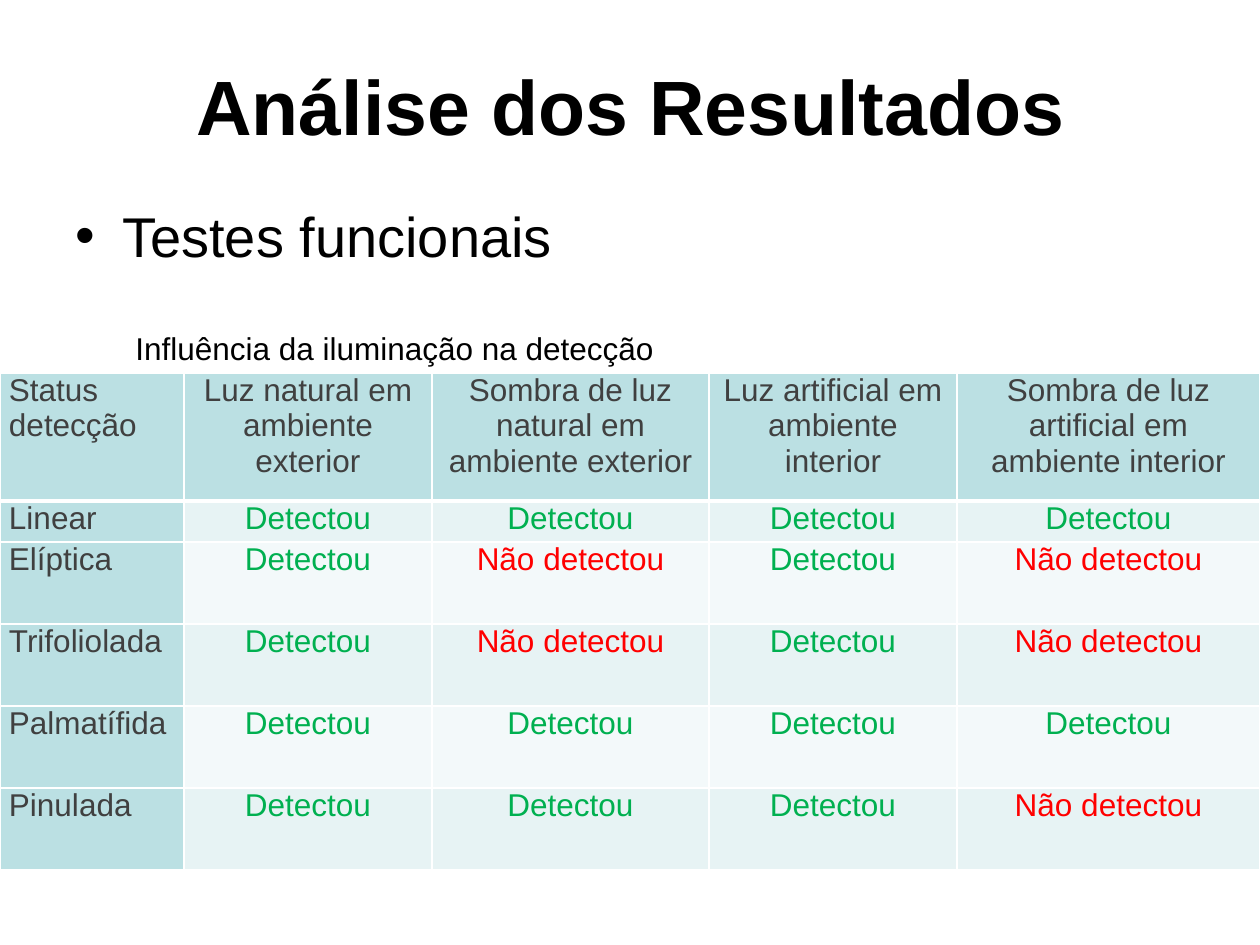
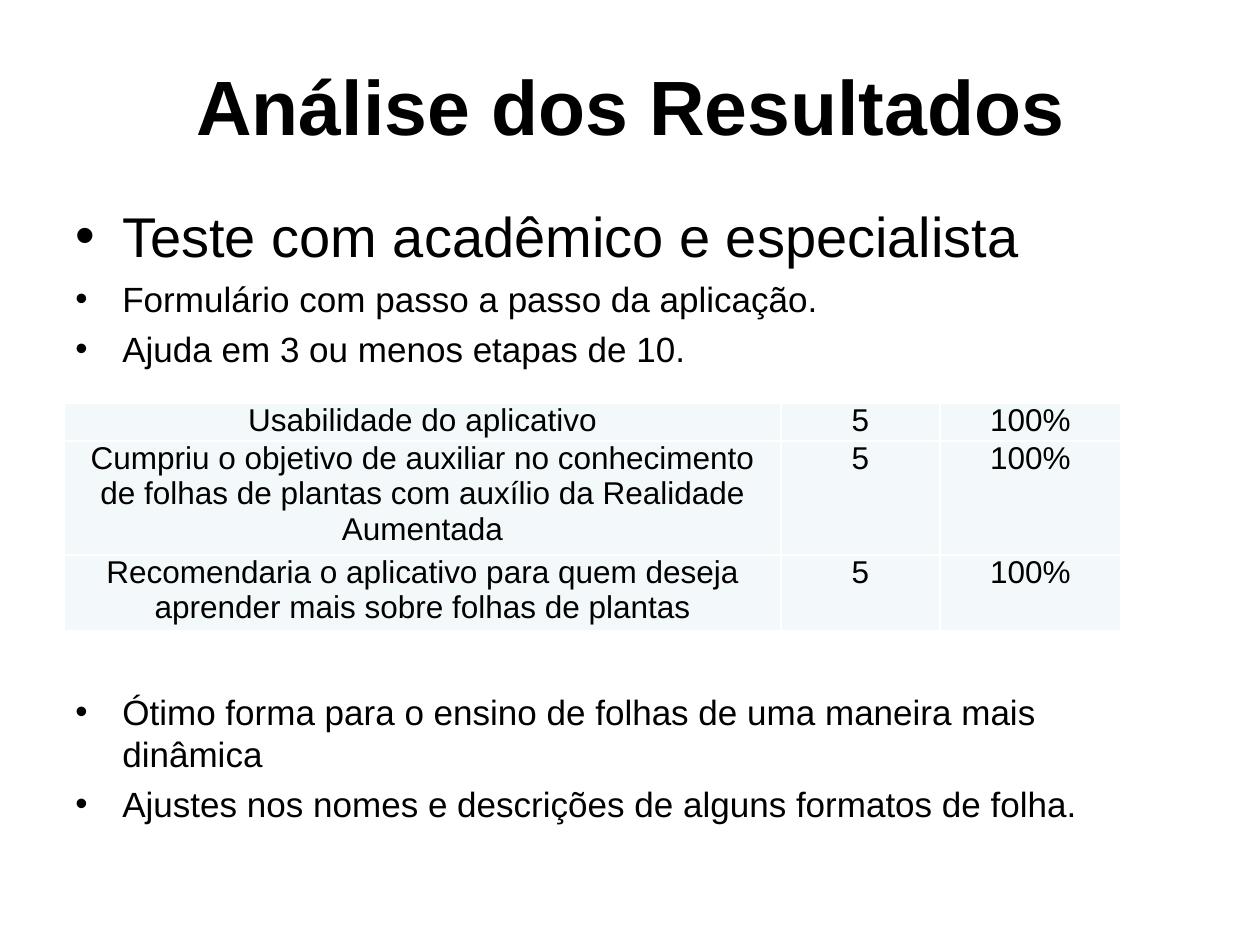
"""Build two slides of test results, each with a title, bullets and a table."""
from lxml.etree import SubElement
from pptx import Presentation
from pptx.dml.color import RGBColor
from pptx.enum.text import MSO_ANCHOR, PP_ALIGN
from pptx.oxml.ns import qn
from pptx.util import Emu, Pt

TITLE = "Análise dos Resultados"
YES, NO = "Detectou", "Não detectou"
CAPTION = "Influência da iluminação na detecção"
LIGHT = [
    ("Status detecção", "Luz natural em ambiente exterior",
     "Sombra de luz natural em ambiente exterior",
     "Luz artificial em ambiente interior",
     "Sombra de luz artificial em ambiente interior"),
    ("Linear", YES, YES, YES, YES),
    ("Elíptica", YES, NO, YES, NO),
    ("Trifoliolada", YES, NO, YES, NO),
    ("Palmatífida", YES, YES, YES, YES),
    ("Pinulada", YES, YES, YES, NO),
]
SURVEY = [
    ("Usabilidade do aplicativo", "5", "100%"),
    ("Cumpriu o objetivo de auxiliar no conhecimento de folhas de plantas "
     "com auxílio da Realidade Aumentada", "5", "100%"),
    ("Recomendaria o aplicativo para quem deseja aprender mais sobre folhas "
     "de plantas", "5", "100%"),
]
GAP = 183
TESTS = [("Testes funcionais", 32, 7)]
USERS = [
    ("Teste com acadêmico e especialista", 32, 7),
    ("Formulário com passo a passo da aplicação.", 20, 5),
    ("Ajuda em 3 ou menos etapas de 10.", 20, 5),
    ("Ótimo forma para o ensino de folhas de uma maneira mais dinâmica", 20, GAP),
    ("Ajustes nos nomes e descrições de alguns formatos de folha.", 20, 5),
]

FONT = "Arial"
BLACK = RGBColor(0x00, 0x00, 0x00)
WHITE = RGBColor(0xFF, 0xFF, 0xFF)
GREY = RGBColor(0x40, 0x40, 0x40)
GREEN = RGBColor(0x00, 0xB0, 0x50)
RED = RGBColor(0xFF, 0x00, 0x00)
TEAL = RGBColor(0xBB, 0xE0, 0xE3)
MIST = RGBColor(0xE7, 0xF3, 0xF4)
PALE = RGBColor(0xF3, 0xF9, 0xFA)
INKS = {YES: GREEN, NO: RED}


def px(num):
    return Emu(round(num * 914400 / 126))


def style(para, size, ink=BLACK, bold=False, align=PP_ALIGN.LEFT):
    para.alignment = align
    for run in para.runs:
        font = run.font
        font.name, font.size, font.bold = FONT, Pt(size), bold
        font.color.rgb = ink


def add_box(slide, *area):
    frame = slide.shapes.add_textbox(*map(px, area)).text_frame
    frame.word_wrap = True
    return frame


def add_title(slide):
    frame = add_box(slide, 64, 26, 1134, 158)
    frame.vertical_anchor = MSO_ANCHOR.MIDDLE
    frame.text = TITLE
    style(frame.paragraphs[0], 44, bold=True, align=PP_ALIGN.CENTER)


def add_list(slide, items):
    frame = add_box(slide, 63, 195, 1134, 645)
    for num, (text, size, space) in enumerate(items):
        para = frame.add_paragraph() if num else frame.paragraphs[0]
        para.text = text
        para.space_before = Pt(space)
        style(para, size)
        props = para._p.get_or_add_pPr()
        props.set("marL", str(px(47)))
        props.set("indent", str(px(-47)))
        SubElement(props, qn("a:buFont"), typeface=FONT)
        SubElement(props, qn("a:buChar"), char="•")


def add_edge(cell, side, width):
    line = SubElement(cell._tc.get_or_add_tcPr(), qn("a:ln" + side), w=str(Pt(width)))
    fill = SubElement(line, qn("a:solidFill"))
    SubElement(fill, qn("a:srgbClr"), val=str(WHITE))


def add_grid(slide, data, left, top, cols, rows, inset, head):
    shape = slide.shapes.add_table(len(rows), len(cols), px(left), px(top),
                                   px(sum(cols)), px(sum(rows)))
    table = shape.table
    table.first_row = table.horz_banding = False
    for col, width in zip(table.columns, cols):
        col.width = px(width)
    for row, height in zip(table.rows, rows):
        row.height = px(height)
    for r, line in enumerate(data):
        for c, text in enumerate(line):
            cell = table.cell(r, c)
            cell.text = text
            cell.margin_left = cell.margin_right = px(inset)
            cell.margin_top = cell.margin_bottom = 0
            for side in "LRTB":
                thick = head and (side, r) in (("B", 0), ("T", 1))
                add_edge(cell, side, 3 if thick else 1)
            cell.fill.solid()
            label = head and (r == 0 or c == 0)
            band = MIST if head and r % 2 else PALE
            cell.fill.fore_color.rgb = TEAL if label else band
            ink = INKS.get(text, GREY if head else BLACK)
            align = PP_ALIGN.LEFT if head and c == 0 else PP_ALIGN.CENTER
            style(cell.text_frame.paragraphs[0], 18, ink, align=align)


def add_page(deck, items):
    slide = deck.slides.add_slide(deck.slide_layouts[6])
    add_title(slide)
    add_list(slide, items)
    return slide


def main():
    deck = Presentation()
    deck.slide_width, deck.slide_height = px(1260), px(945)

    slide = add_page(deck, TESTS)
    add_grid(slide, LIGHT, 0, 373, (184, 248, 277, 248, 303),
             (128, 41) + (82,) * 4, 9, True)
    frame = add_box(slide, 123, 323, 615, 50)
    frame.text = CAPTION
    style(frame.paragraphs[0], 18)

    slide = add_page(deck, USERS)
    add_grid(slide, SURVEY, 64, 403, (717, 159, 181), (38, 114, 76), 11, False)

    deck.save("out.pptx")


if __name__ == "__main__":
    main()
